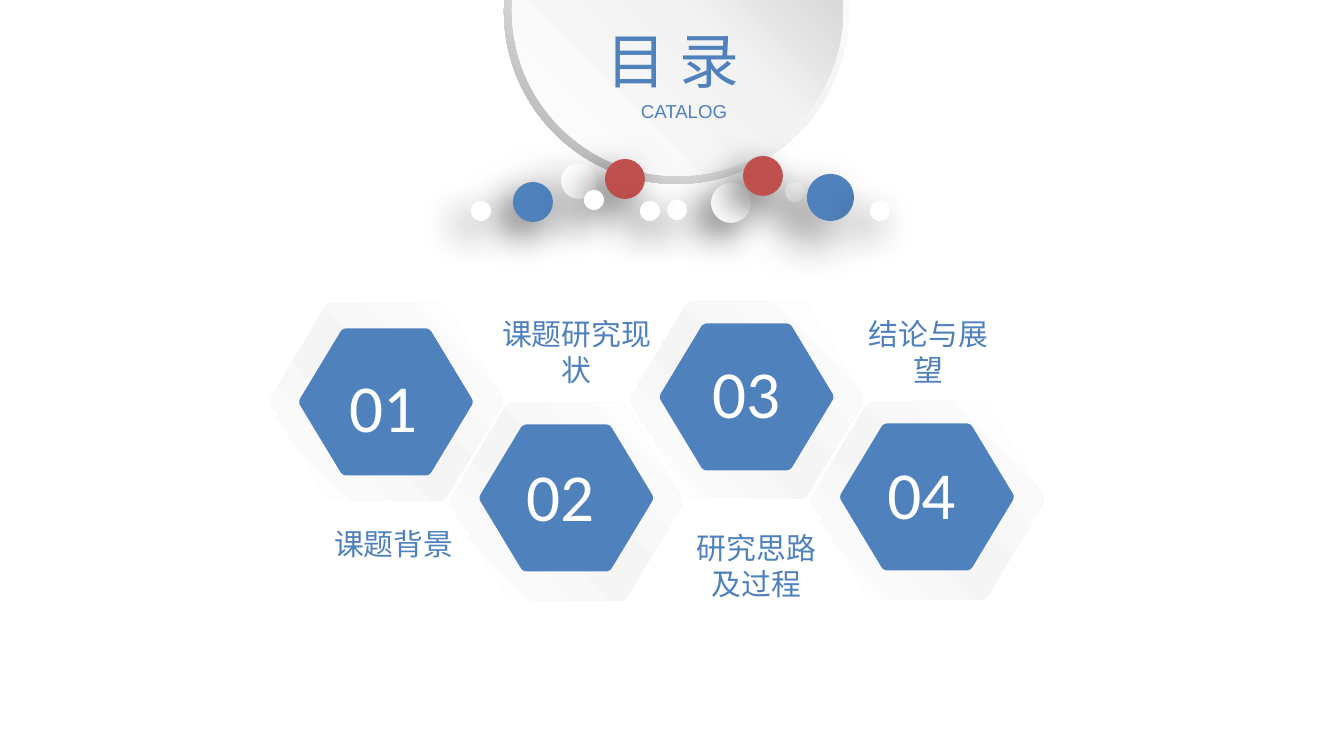
import pptx
import pptx.util
import pptx.dml.color
import pptx.enum.shapes
import pptx.enum.text
import pptx.oxml
import pptx.oxml.ns

THEME = {
    "blue": "4F81BD", "red": "C0504D", "white": "FFFFFF", "shadow": "000000",
    "title": ("Noto Sans CJK SC", 32), "subtitle": ("Arial", 10),
    "number": ("Calibri", 36), "caption": ("Arial", 16),
    "rim": ([(0, "FFFFFF"), (55, "F2F2F2"), (100, "A6A6A6")], 135),
    "disc": ([(0, "FFFFFF"), (51, "F2F2F2"), (100, "BFBFBF")], 315),
    "plate": ([(0, "FFFFFF"), (47, "F5F5F5"), (100, "FFFFFF")], 315),
    "soft": (60, 20, 10), "deep": (50, 25, 15),
}
SLIDE = (1344, 756)
RIM = (504, -161, 345, 345)
DISC = (512, -155, 331, 331)
BALLS = [
    (711, 183, 40, "white", "soft"), (667, 200, 20, "white", "soft"),
    (785, 182, 20, "white", "soft"), (561, 163, 36, "white", "deep"),
    (605, 159, 40, "red", "soft"), (640, 201, 20, "white", "soft"),
    (807, 174, 47, "blue", "deep"), (513, 182, 40, "blue", "soft"),
    (471, 201, 20, "white", "soft"), (743, 156, 40, "red", "soft"),
    (584, 190, 20, "white", "soft"), (870, 201, 20, "white", "soft"),
]
ITEMS = [
    ("03", 2, 400, 397, (699, 345, 114, 95), "研究思路及过程", (681, 523, 151, 86), "c"),
    ("01", 0, 402, 402, (336, 359, 118, 95), "课题背景", (321, 519, 151, 50), "l"),
    ("02", 1, 502, 498, (513, 448, 116, 95), "课题研究现状", (487, 309, 179, 86), "c"),
    ("04", 3, 501, 497, (874, 446, 130, 95), "结论与展望", (853, 309, 151, 86), "c"),
]
HEX_X, HEX_STEP = 386, 180.33
HEX_SIZES = [(235, 200), (234, 198), (174, 147)]
HEX = [(0.25, 0), (0.75, 0), (1.005, 0.5), (0.75, 1), (0.25, 1), (-0.005, 0.5)]
CUT, STEPS = 0.05, 6
PX = 9144000 / SLIDE[0]
SHAPE = pptx.enum.shapes.MSO_SHAPE
ALIGN = {"l": pptx.enum.text.PP_ALIGN.LEFT, "c": pptx.enum.text.PP_ALIGN.CENTER}


def emu(values):
    return [pptx.util.Emu(round(v * PX)) for v in values]


def rgb(name):
    return pptx.dml.color.RGBColor.from_string(THEME[name])


def add_xml(sp, body):
    return pptx.oxml.parse_xml(body.replace(">", " " + pptx.oxml.ns.nsdecls("a") + ">", 1))


def paint(sp, fill):
    sp.shadow.inherit = False
    sp.line.fill.background()
    if isinstance(THEME[fill], str):
        sp.fill.solid()
        sp.fill.fore_color.rgb = rgb(fill)
        return
    stops, angle = THEME[fill]
    sp.fill.gradient()
    grad = sp._element.spPr.find(pptx.oxml.ns.qn("a:gradFill"))
    for child in list(grad):
        grad.remove(child)
    marks = "".join(f'<a:gs pos="{pos * 1000}"><a:srgbClr val="{color}"/></a:gs>'
                    for pos, color in stops)
    grad.append(add_xml(sp, f"<a:gsLst>{marks}</a:gsLst>"))
    grad.append(add_xml(sp, f'<a:lin ang="{angle * 60000}" scaled="0"></a:lin>'))


def cast_shadow(sp, kind):
    alpha, blur, dist = THEME[kind]
    effects = sp._element.spPr.find(pptx.oxml.ns.qn("a:effectLst"))
    effects.append(add_xml(sp, f'<a:outerShdw blurRad="{blur * 12700}" dist="{dist * 12700}" '
                               f'dir="{135 * 60000}" algn="tr" rotWithShape="0">'
                               f'<a:srgbClr val="{THEME["shadow"]}"><a:alpha val="{alpha * 1000}"/>'
                               '</a:srgbClr></a:outerShdw>'))


def add_round(shapes, preset, box, fill):
    sp = shapes.add_shape(preset, *emu(box))
    paint(sp, fill)
    return sp


def add_text(shapes, text, box, style, color, align="l", grow=True):
    sp = shapes.add_textbox(*emu(box))
    tf = sp.text_frame
    tf.word_wrap = True
    if grow:
        tf.auto_size = pptx.enum.text.MSO_AUTO_SIZE.SHAPE_TO_FIT_TEXT
    tf.text = text
    p = tf.paragraphs[0]
    p.alignment = ALIGN[align]
    r = p.runs[0]
    face, size = THEME[style]
    r.font.name = face
    r.font.size = pptx.util.Pt(size)
    r.font.color.rgb = rgb(color)
    r.font._element.append(add_xml(sp, f'<a:ea typeface="{face}"></a:ea>'))
    return tf


def mix(a, b, t):
    return a[0] + (b[0] - a[0]) * t, a[1] + (b[1] - a[1]) * t


def rounded_hexagon():
    points = []
    for i, corner in enumerate(HEX):
        start = mix(corner, HEX[i - 1], CUT)
        end = mix(corner, HEX[(i + 1) % len(HEX)], CUT)
        for k in range(STEPS + 1):
            t = k / STEPS
            points.append(mix(mix(start, corner, t), mix(corner, end, t), t))
    return points


def add_hexagon(shapes, cx, cy, size, fill):
    w, h = size
    points = [emu((cx + (x - 0.5) * w, cy + (y - 0.5) * h)) for x, y in rounded_hexagon()]
    builder = shapes.build_freeform(*points[0])
    builder.add_line_segments(points[1:], close=True)
    paint(builder.convert_to_shape(), fill)


def main():
    prs = pptx.Presentation()
    prs.slide_width, prs.slide_height = emu(SLIDE)
    s = prs.slides.add_slide(prs.slide_layouts[6])

    dial = s.shapes.add_group_shape().shapes
    add_round(dial, SHAPE.DONUT, RIM, "rim").adjustments[0] = 0.05
    add_round(dial, SHAPE.OVAL, DISC, "disc")
    for x, y, d, fill, shadow in BALLS:
        cast_shadow(add_round(s.shapes, SHAPE.OVAL, (x, y, d, d), fill), shadow)

    add_text(s.shapes, "目 录", (593, 17, 181, 86), "title", "blue")
    tf = add_text(s.shapes, "CATALOG", (583, 83, 202, 56), "subtitle", "blue", "c", False)
    tf.vertical_anchor = pptx.enum.text.MSO_ANCHOR.MIDDLE
    tf.margin_left, tf.margin_top, tf.margin_right, tf.margin_bottom = emu((9, 5, 9, 5))

    for number, column, plate_y, face_y, box, *_ in ITEMS:
        group = s.shapes.add_group_shape().shapes
        cx = HEX_X + column * HEX_STEP
        layers = zip((plate_y, plate_y, face_y), HEX_SIZES, ("white", "plate", "blue"))
        for cy, size, fill in layers:
            add_hexagon(group, cx, cy, size, fill)
        add_text(group, number, box, "number", "white")
    for *_, caption, box, align in ITEMS:
        add_text(s.shapes, caption, box, "caption", "blue", align)
    prs.save("out.pptx")


if __name__ == "__main__":
    main()
